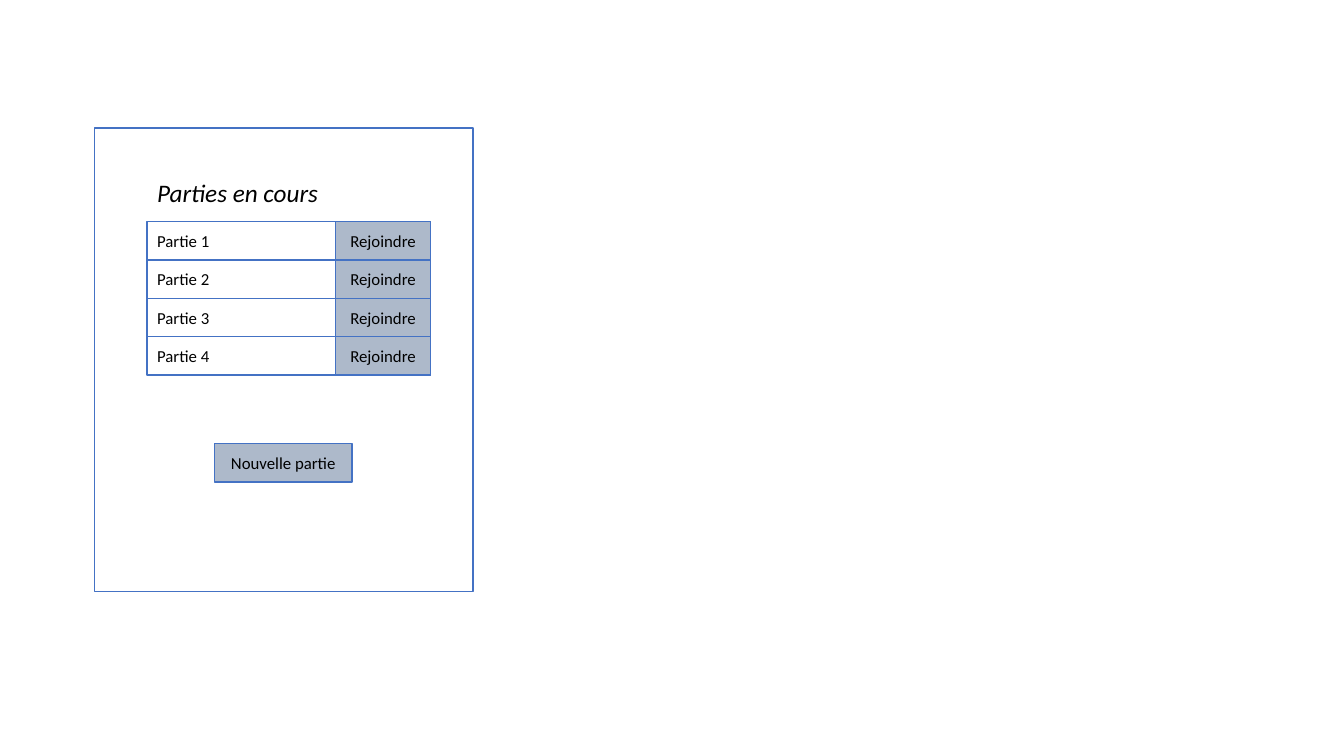
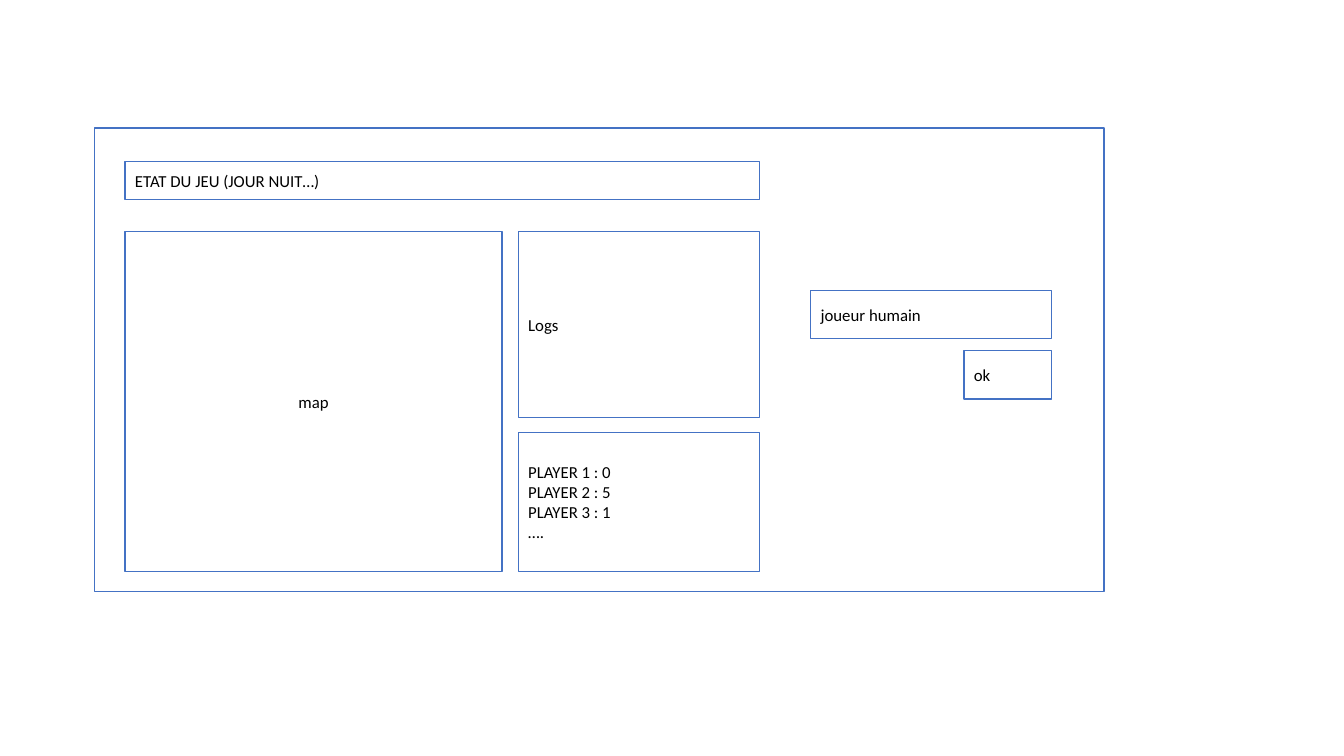
from pptx import Presentation
from pptx.dml.color import RGBColor as RGB
from pptx.enum.shapes import MSO_SHAPE as Shape
from pptx.enum.text import MSO_ANCHOR as Anchor, MSO_AUTO_SIZE as Fit, PP_ALIGN as Align
from pptx.util import Inches, Pt

WHITE = RGB(0xFF, 0xFF, 0xFF)
BLACK = RGB(0, 0, 0)
BLUE = RGB(0x44, 0x72, 0xC4)
GREY = RGB(0xAD, 0xB9, 0xCA)
FONT = "Calibri"

LEFT, TOP, HIGH = 0.94, 1.27, 4.6
ROW = 0.38


def write(frame, lines, size=12, align=Align.LEFT, italic=False):
    frame.word_wrap = True
    for n, line in enumerate(lines):
        para = frame.paragraphs[0] if n == 0 else frame.add_paragraph()
        para.alignment = align
        run = para.add_run()
        run.text = line
        font = run.font
        font.name, font.size, font.italic = FONT, Pt(size), italic
        font.color.rgb = BLACK


def add_box(slide, x, y, w, h, *lines, fill=WHITE, align=Align.LEFT):
    box = slide.shapes.add_shape(
        Shape.ROUNDED_RECTANGLE, Inches(x), Inches(y), Inches(w), Inches(h))
    box.adjustments[0] = 0
    box.shadow.inherit = False
    box.fill.solid()
    box.fill.fore_color.rgb = fill
    box.line.color.rgb = BLUE
    box.line.width = Pt(1)
    box.text_frame.vertical_anchor = Anchor.MIDDLE
    write(box.text_frame, lines, align=align)


def add_button(slide, x, y, w, label):
    add_box(slide, x, y, w, ROW, label, fill=GREY, align=Align.CENTER)


def add_heading(slide, x, y, w, h, label):
    frame = slide.shapes.add_textbox(
        Inches(x), Inches(y), Inches(w), Inches(h)).text_frame
    write(frame, [label], size=18, italic=True)
    frame.auto_size = Fit.SHAPE_TO_FIT_TEXT


def add_screen(deck, width):
    slide = deck.slides.add_slide(deck.slide_layouts.get_by_name("Blank"))
    add_box(slide, LEFT, TOP, width, HIGH)
    return slide


def draw_lobby(deck):
    slide = add_screen(deck, 3.75)
    x, y, wide, join = 1.46, 2.2, 2.81, 0.94
    add_heading(slide, x, 1.71, 2.93, 0.4, "Parties en cours")
    for n in range(4):
        top = y + n * ROW
        add_box(slide, x, top, wide, ROW, f"Partie {n + 1}")
        add_button(slide, x + wide - join, top, join, "Rejoindre")
    add_button(slide, 2.13, 4.4, 1.36, "Nouvelle partie")


def draw_game(deck):
    slide = add_screen(deck, 10.01)
    x, y, end = 1.24, 2.3, 5.67
    side, wide = 5.14, 2.39
    human, field, gap = 8.04, 0.48, 0.12
    score, ok, row = 4.29, 0.87, 2.88
    add_box(slide, x, 1.6, side + wide - x, ROW, "ETAT DU JEU (JOUR NUIT…)")
    add_box(slide, x, y, 3.74, end - y, "map", align=Align.CENTER)
    add_box(slide, side, y, wide, 1.84, "Logs")
    add_box(slide, side, score, wide, end - score,
            "PLAYER 1 : 0", "PLAYER 2 : 5", "PLAYER 3 : 1", "….")
    add_box(slide, human, row, wide, field, "joueur humain")
    add_box(slide, human + wide - ok, row + field + gap, ok, field, "ok")


def main():
    deck = Presentation()
    deck.slide_width, deck.slide_height = Inches(13.33), Inches(7.5)
    draw_lobby(deck)
    draw_game(deck)
    deck.save("out.pptx")


if __name__ == "__main__":
    main()
